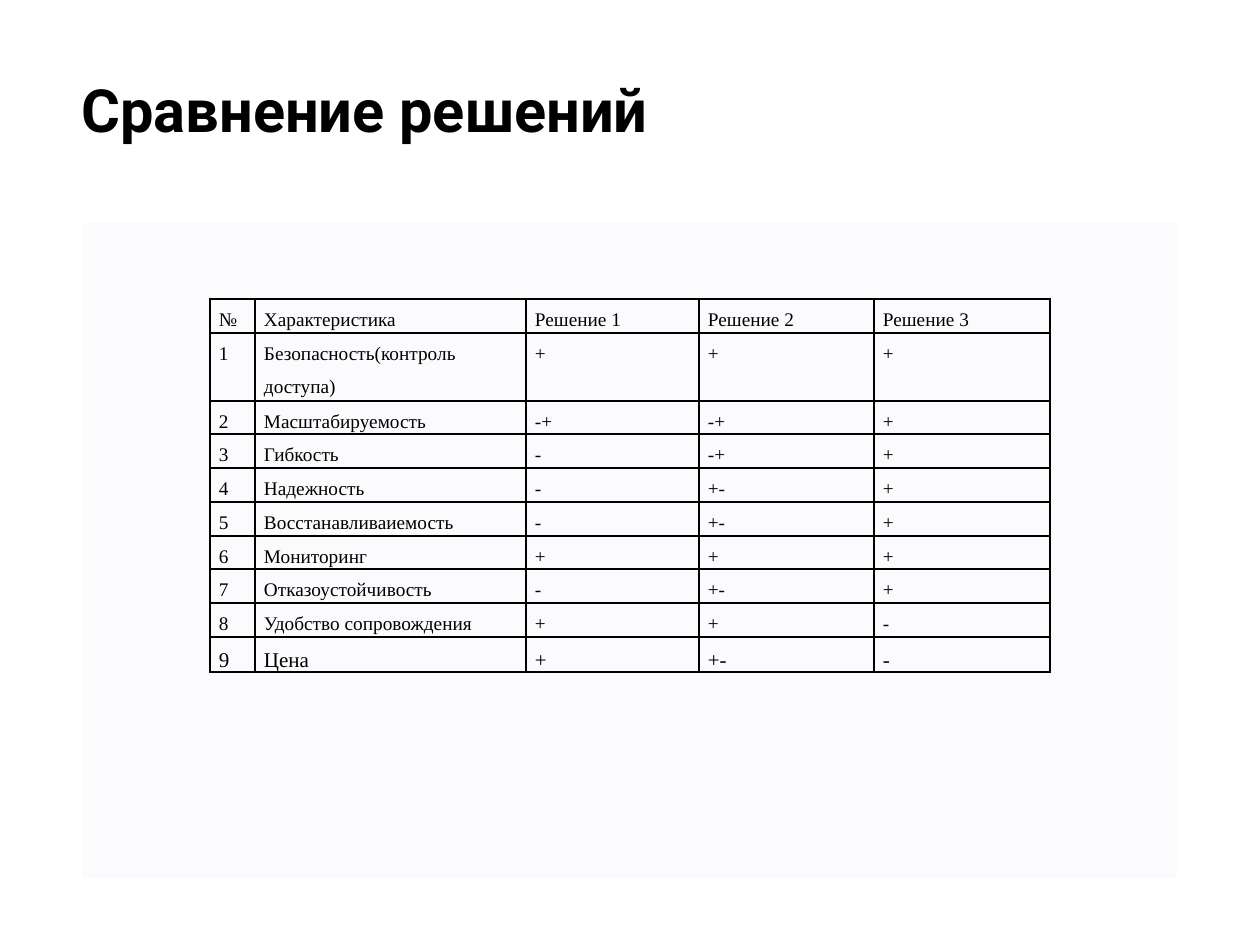
from lxml import etree
from pptx import Presentation
from pptx import util as u
from pptx.dml.color import RGBColor
from pptx.enum import shapes, text
from pptx.oxml.ns import qn

PX = 914400 // 126


def px(length):
    return u.Emu(length * PX)


def color(value):
    return RGBColor.from_string(value)


INK = "000000"
PANEL = "FBFBFE"

prs = Presentation()
prs.slide_width, prs.slide_height = px(1260), px(945)
slide = prs.slides.add_slide(prs.slide_layouts[5])

# Title
title = slide.shapes.title
title.left, title.top, title.width, title.height = px(69), px(60), px(1174), px(116)
frame = title.text_frame
frame.text = "Сравнение решений"
frame.vertical_anchor = text.MSO_ANCHOR.TOP
for side in ("left", "top", "right", "bottom"):
    setattr(frame, f"margin_{side}", u.Inches(0.1))
heading = frame.paragraphs[0]
heading.alignment = text.PP_ALIGN.LEFT
for name, value in {"name": "Roboto", "size": u.Pt(34), "bold": True}.items():
    setattr(heading.font, name, value)
heading.font.color.rgb = color(INK)

# Panel behind the table
panel = slide.shapes.add_shape(
    shapes.MSO_SHAPE.RECTANGLE, px(83), px(223), px(1094), px(655))
panel.shadow.inherit = False
panel.fill.solid()
panel.fill.fore_color.rgb = color(PANEL)
panel.line.fill.background()

# Comparison table
header = ["№", "Характеристика", "Решение 1", "Решение 2", "Решение 3"]
ratings = [
    ("Безопасность(контроль доступа)", "+", "+", "+"),
    ("Масштабируемость", "-+", "-+", "+"),
    ("Гибкость", "-", "-+", "+"),
    ("Надежность", "-", "+-", "+"),
    ("Восстанавливаиемость", "-", "+-", "+"),
    ("Мониторинг", "+", "+", "+"),
    ("Отказоустойчивость", "-", "+-", "+"),
    ("Удобство сопровождения", "+", "+", "-"),
    ("Цена", "+", "+-", "-"),
]
rows = [header] + [(str(n), *rating) for n, rating in enumerate(ratings, 1)]
col_widths = [45, 271, 173, 175, 176]
row_heights = [34, 68, 33, 34, 34, 34, 33, 34, 34, 35]

comparison = slide.shapes.add_table(
    len(rows), len(header), px(210), px(299),
    px(sum(col_widths)), px(sum(row_heights))).table
comparison.first_row = comparison.horz_banding = False
for column, width in zip(comparison.columns, col_widths):
    column.width = px(width)
for row, height in zip(comparison.rows, row_heights):
    row.height = px(height)

cell_format = {
    "margin_left": px(9), "margin_right": px(9),
    "margin_top": 0, "margin_bottom": 0,
    "vertical_anchor": text.MSO_ANCHOR.TOP,
}
for r, row in enumerate(rows):
    font_size = 12 if r == len(rows) - 1 else 11
    for c, label in enumerate(row):
        cell = comparison.cell(r, c)
        cell.text = label
        for name, value in cell_format.items():
            setattr(cell, name, value)

        paragraph = cell.text_frame.paragraphs[0]
        paragraph.alignment = text.PP_ALIGN.JUSTIFY
        paragraph.line_spacing = 1.5
        paragraph.font.name = "Times New Roman"
        paragraph.font.size = u.Pt(font_size)
        paragraph.font.color.rgb = color(INK)

        properties = cell._tc.get_or_add_tcPr()
        for edge in ("a:lnL", "a:lnR", "a:lnT", "a:lnB"):
            border = etree.SubElement(properties, qn(edge), w=str(u.Pt(1)))
            border_fill = etree.SubElement(border, qn("a:solidFill"))
            etree.SubElement(border_fill, qn("a:srgbClr"), val=INK)
        cell.fill.background()

prs.save("out.pptx")
